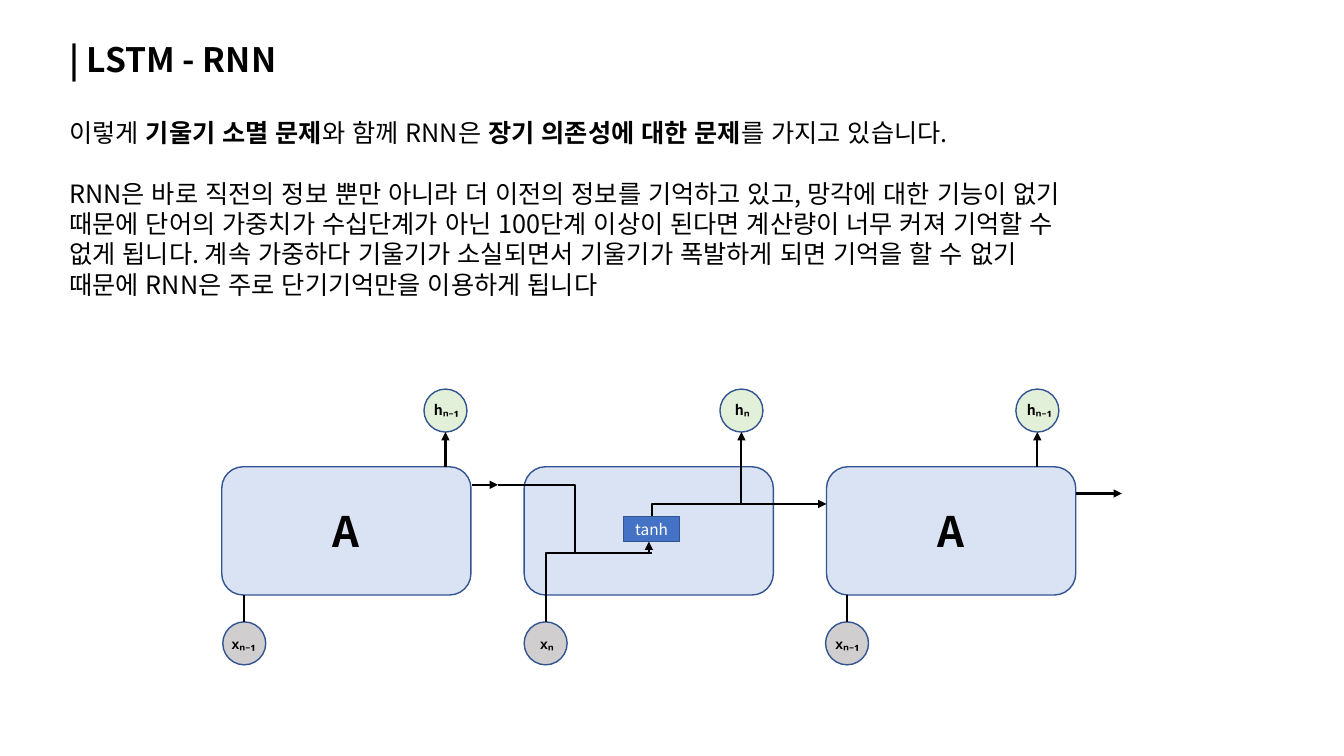
from lxml import etree
from pptx import Presentation
from pptx.dml.color import RGBColor
from pptx.enum.shapes import MSO_CONNECTOR as LINK, MSO_SHAPE as SHAPE
from pptx.enum.text import MSO_ANCHOR as ANCHOR, PP_ALIGN as ALIGN
from pptx.oxml.ns import qn
from pptx.util import Pt

COLORS = {
    "ink": "000000",
    "white": "FFFFFF",
    "edge": "325491",
    "cell": "DAE3F3",
    "tanh": "4472C4",
    "input": "D0CECE",
    "output": "E2F0D9",
}
FONT = "Noto Sans CJK KR"
SUBSCRIPT_FONT = EAST_ASIAN_FONT = "Arial"
CELL_WIDTH, CELL_HEIGHT, CELL_STEP = 178, 91.6, 216
NODE = 30.7
OUTPUT_TOP, CELL_TOP, INPUT_TOP = 0, 55.5, 166.3

INTRO = [
    ("이렇게 ", {}),
    ("기울기 소멸 문제", {"bold": True}),
    ("와 함께 RNN은 ", {}),
    ("장기 의존성에 대한 문제", {"bold": True}),
    ("를 가지고 있습니다.", {}),
]
REASON = [(
    "RNN은 바로 직전의 정보 뿐만 아니라 더 이전의 정보를 기억하고 있고, "
    "망각에 대한 기능이 없기 때문에 단어의 가중치가 수십단계가 아닌 "
    "100단계 이상이 된다면 계산량이 너무 커져 기억할 수 없게 됩니다. "
    "계속 가중하다 기울기가 소실되면서 기울기가 폭발하게 되면 기억을 할 수 없기 때문에 "
    "RNN은 주로 단기기억만을 이용하게 됩니다", {})]
H, X, N = ("h", {}), ("x", {"font": SUBSCRIPT_FONT}), ("ₙ", {"font": SUBSCRIPT_FONT})
MINUS_ONE = ("₋₁", {})


def rgb(name):
    return RGBColor.from_string(COLORS[name])


def write(frame, paragraphs, size=18, bold=False, color="ink", align=ALIGN.LEFT,
          anchor=ANCHOR.TOP, gap=0):
    frame.word_wrap = True
    frame.vertical_anchor = anchor
    for index, pieces in enumerate(paragraphs):
        paragraph = frame.add_paragraph() if index else frame.paragraphs[0]
        paragraph.alignment = align
        paragraph.line_spacing = Pt(1.2 * size)
        paragraph.space_before = Pt(gap if index else 0)
        for text, style in pieces:
            run = paragraph.add_run()
            run.text = text
            font = run.font
            font.size = Pt(size)
            font.bold = style.get("bold", bold)
            font.name = style.get("font", FONT)
            font.color.rgb = rgb(color)
            east_asian = etree.SubElement(run._r.get_or_add_rPr(), qn("a:ea"))
            east_asian.set("typeface", EAST_ASIAN_FONT)


def text_box(slide, left, top, width, height, paragraphs, **style):
    box = slide.shapes.add_textbox(Pt(left), Pt(top), Pt(width), Pt(height))
    write(box.text_frame, paragraphs, **style)
    return box


def block(slide, kind, left, top, width, height, fill):
    shape = slide.shapes.add_shape(kind, Pt(left), Pt(top), Pt(width), Pt(height))
    shape.shadow.inherit = False
    shape.fill.solid()
    shape.fill.fore_color.rgb = rgb(fill)
    shape.line.color.rgb = rgb("edge")
    shape.line.width = Pt(1)
    return shape


def link(slide, x1, y1, x2, y2, kind=LINK.STRAIGHT, arrow=False):
    connector = slide.shapes.add_connector(kind, Pt(x1), Pt(y1), Pt(x2), Pt(y2))
    connector.line.color.rgb = rgb("ink")
    connector.line.width = Pt(1.5)
    if arrow:
        line = connector.line._get_or_add_ln()
        etree.SubElement(line, qn("a:tailEnd")).set("type", "triangle")
    etree.SubElement(connector._element.spPr, qn("a:effectLst"))
    return connector


def upward_elbow(slide, x1, y1, x2, y2, preset="bentConnector3", arrow=False):
    middle_x, middle_y = (x1 + x2) / 2, (y1 + y2) / 2
    half_u, half_v = (y2 - y1) / 2, (x1 - x2) / 2
    elbow = link(slide, middle_x - half_u, middle_y - half_v,
                 middle_x + half_u, middle_y + half_v, LINK.ELBOW, arrow)
    properties = elbow._element.spPr
    properties.find(qn("a:xfrm")).set("rot", str(90 * 60000))
    properties.find(qn("a:prstGeom")).set("prst", preset)


def node(slide, left, top, fill, symbol, shift_x, shift_y):
    circle = block(slide, SHAPE.OVAL, left, top, NODE, NODE, fill)
    label = text_box(slide, left + shift_x, top + shift_y, 35.3, 19.4,
                     [symbol], size=10, bold=True)
    label.text_frame.margin_right = 0
    return circle


def heading(slide, left, top, width):
    text_box(slide, left, top, width, 36, [[("| LSTM - RNN", {})]], size=24, bold=True)


def explanation(slide, left, top, width):
    text_box(slide, left, top, width, 138.2, [INTRO, REASON], gap=21.6)


def recurrent_cell(slide, left, top, output_center, index, inner=False):
    suffix = [N] if inner else [N, MINUS_ONE]
    cell = block(slide, SHAPE.ROUNDED_RECTANGLE, left, top + CELL_TOP,
                 CELL_WIDTH, CELL_HEIGHT, "cell")
    if not inner:
        write(cell.text_frame, [[("A", {})]], size=30, bold=True,
              align=ALIGN.CENTER, anchor=ANCHOR.MIDDLE)
    input_left = left + 0.7 * (1 - index)
    input_node = node(slide, input_left, top + INPUT_TOP, "input", [X] + suffix,
                      (-0.7, 4.3, 0)[index], 6)
    node(slide, left + output_center - NODE / 2, top + OUTPUT_TOP, "output",
         [H] + suffix, (0, 3.6, 0.7)[index], 5.6)
    if not inner:
        stem_x = input_left + NODE / 2
        stem = link(slide, stem_x, top + INPUT_TOP, stem_x, top + CELL_TOP + CELL_HEIGHT)
        stem.begin_connect(input_node, 0)
    output_start = top + (82.1 if inner else CELL_TOP)
    link(slide, left + output_center, output_start,
         left + output_center, top + OUTPUT_TOP + NODE, arrow=True)


def tanh_wiring(slide, left, top):
    state_x, state_y = left - 18.7, top + 68.4
    merge_y, result_y = top + 117.4, top + 82.1
    tanh_left, tanh_top, tanh_width, tanh_height = left + 71.1, top + 91, 40, 18
    tanh = block(slide, SHAPE.RECTANGLE, tanh_left, tanh_top,
                 tanh_width, tanh_height, "tanh")
    write(tanh.text_frame, [[("tanh", {})]], size=11, color="white",
          align=ALIGN.CENTER, anchor=ANCHOR.MIDDLE)
    tanh.text_frame.margin_left = tanh.text_frame.margin_right = 0
    tanh_middle = tanh_left + tanh_width / 2
    entry_x = tanh_middle - 2
    link(slide, state_x - 18.3, state_y, state_x, state_y, arrow=True)
    link(slide, state_x, state_y, tanh_middle, merge_y, LINK.ELBOW)
    link(slide, entry_x, merge_y, entry_x, tanh_top + tanh_height, arrow=True)
    upward_elbow(slide, left + NODE / 2, top + INPUT_TOP, left + 36.3, state_y)
    upward_elbow(slide, tanh_middle, tanh_top, left + CELL_STEP, result_y,
                 preset="bentConnector2", arrow=True)


def network(slide, left, top):
    for index in range(3):
        recurrent_cell(slide, left + index * CELL_STEP, top, 159.8 - 4.6 * index,
                       index, inner=index == 1)
    tanh_wiring(slide, left + CELL_STEP, top)
    exit_x, exit_y = left + 2 * CELL_STEP + CELL_WIDTH, top + 74.6
    link(slide, exit_x, exit_y, exit_x + 33, exit_y, arrow=True)


def main():
    deck = Presentation()
    deck.slide_width, deck.slide_height = Pt(960), Pt(540)
    slide = deck.slides.add_slide(deck.slide_layouts[6])
    heading(slide, 42.5, 24.5, 558.7)
    explanation(slide, 42.5, 80.6, 726.5)
    network(slide, 158.4, 277.9)
    deck.save("out.pptx")


if __name__ == "__main__":
    main()
